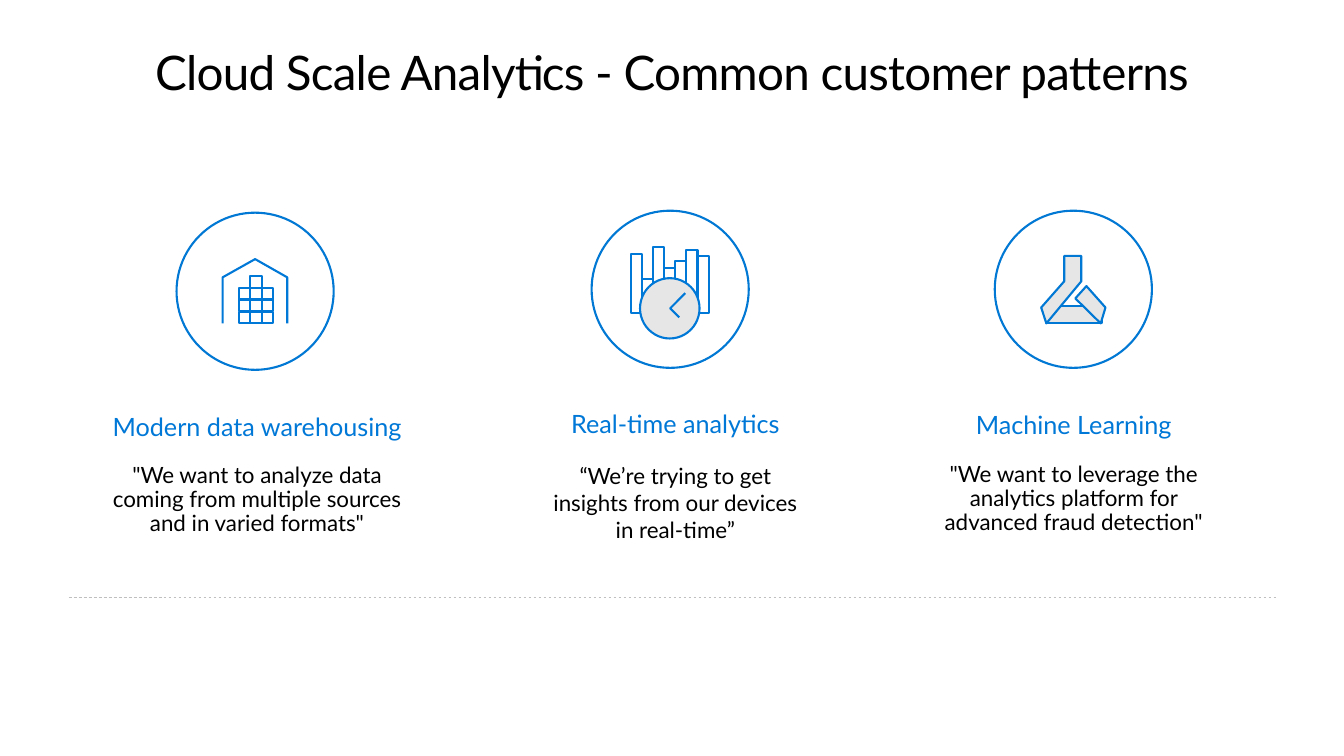
from lxml import etree
from pptx import Presentation
from pptx import util as u
from pptx.dml.color import RGBColor
from pptx.enum import dml, shapes, text
from pptx.oxml.ns import qn

ICON_BLUE, RING_BLUE = "0078D7", "0078D4"
GREY, RULE_GREY, BLACK = "E6E6E6", "BFBFBF", "000000"
RECT, OVAL = shapes.MSO_SHAPE.RECTANGLE, shapes.MSO_SHAPE.OVAL
RING_SIZE = 3.96


def color(hex_code):
    return RGBColor.from_string(hex_code)


class PatternSlide:
    """Holds the style, the slide and the group being drawn."""

    font = "Lato"
    stroke = 1.5

    def __init__(self, slide):
        self.slide = slide
        self.target = slide.shapes

    def start_group(self):
        self.target = self.slide.shapes.add_group_shape().shapes

    def outline(self, shape, line, fill):
        shape.shadow.inherit = False
        if fill:
            shape.fill.solid()
            shape.fill.fore_color.rgb = color(fill)
        else:
            shape.fill.background()
        shape.line.color.rgb = color(line)
        shape.line.width = u.Pt(self.stroke)

    def shape(self, kind, left, top, width, height, line=ICON_BLUE, fill=None):
        item = self.target.add_shape(
            kind, u.Cm(left), u.Cm(top), u.Cm(width), u.Cm(height))
        self.outline(item, line, fill)

    def polygon(self, points, line=ICON_BLUE, fill=None, close=False):
        corners = [(u.Cm(x), u.Cm(y)) for x, y in points]
        builder = self.target.build_freeform(*corners[0])
        builder.add_line_segments(corners[1:], close=close)
        self.outline(builder.convert_to_shape(), line, fill)

    def text(self, words, left, top, width, height, size, ink=BLACK,
             insets=(0.41, 0.25, 0.41, 0.25), leading=None, after=None,
             grow=True, tracking=None):
        box = self.target.add_textbox(
            u.Cm(left), u.Cm(top), u.Cm(width), u.Cm(height))
        frame = box.text_frame
        frame.word_wrap = True
        frame.auto_size = (text.MSO_AUTO_SIZE.SHAPE_TO_FIT_TEXT if grow
                           else text.MSO_AUTO_SIZE.NONE)
        (frame.margin_left, frame.margin_top,
         frame.margin_right, frame.margin_bottom) = map(u.Cm, insets)
        paragraph = frame.paragraphs[0]
        run = paragraph.add_run()
        run.text = words
        paragraph.alignment = text.PP_ALIGN.CENTER
        if leading:
            paragraph.line_spacing = leading
        if after:
            paragraph.space_after = u.Pt(after)
        paragraph.font.name = self.font
        paragraph.font.size = u.Pt(size)
        paragraph.font.color.rgb = color(ink)
        if tracking:
            run._r.get_or_add_rPr().set("spc", str(tracking))

    def divider(self, left, right, y):
        rule = self.target.add_connector(
            shapes.MSO_CONNECTOR.STRAIGHT,
            u.Cm(left), u.Cm(y), u.Cm(right), u.Cm(y))
        rule.line.color.rgb = color(RULE_GREY)
        rule.line.width = u.Pt(0.5)
        rule.line.dash_style = dml.MSO_LINE.DASH
        etree.SubElement(rule._element.spPr, qn("a:effectLst"))


def warehouse(page):
    page.polygon([(5.61, 8.15), (5.61, 6.99), (6.43, 6.53),
                  (7.24, 6.99), (7.24, 8.15)])
    # Stacked crates: the middle column is one higher
    for column, rows in enumerate([(1, 2, 3), (0, 1, 2, 3), (1, 2, 3)]):
        for row in rows:
            page.shape(RECT, 6.02 + 0.29 * column, 6.96 + 0.3 * row, 0.29, 0.29)


def bars_and_clock(page):
    floor = 7.88
    for index, top in enumerate([6.4, 7.04, 6.22, 6.76, 6.58, 6.3, 6.45]):
        page.shape(RECT, 15.9 + 0.28 * index, top, 0.28, floor - top)
    page.shape(OVAL, 16.13, 7.01, 1.5, 1.52, fill=GREY)
    page.polygon([(17.27, 7.39), (16.89, 7.77), (17.12, 8)])


def flask(page):
    page.shape(RECT, 26.37, 7.72, 1.4, 0.43, RING_BLUE, GREY)
    neck = [(26.82, 6.45), (27.25, 6.45), (27.25, 7.09),
            (26.37, 8.15), (26.24, 7.75), (26.82, 7.09)]
    side = [(27.1, 7.52), (27.38, 7.21), (27.86, 7.75), (27.74, 8.15)]
    for part in (neck, side):
        page.polygon(part, RING_BLUE, GREY, close=True)


# Icon, ring centre and top, text centre, heading and top,
# quote with its top, width, height, leading and space after
PATTERNS = [
    (warehouse, 6.43, 5.36, 6.48, "Modern data warehousing", 10.19,
     '"We want to analyze data coming from multiple sources and in varied formats"',
     11.28, 8.74, 2.67, 0.9, 6),
    (bars_and_clock, 16.89, 5.31, 17.02, "Real-time analytics", 10.13,
     "“We’re trying to get insights from our devices in real-time”",
     11.23, 7.62, 3.78, None, None),
    (flask, 27.05, 5.31, 27.06, "Machine Learning", 10.16,
     '"We want to leverage the analytics platform for advanced fraud detection"',
     11.25, 8.36, 2.67, 0.9, 6),
]


def main():
    deck = Presentation()
    deck.slide_width, deck.slide_height = u.Cm(33.87), u.Cm(19.05)
    page = PatternSlide(deck.slides.add_slide(deck.slide_layouts[6]))

    # Title and divider
    page.divider(1.73, 32.16, 15.06)
    page.text("Cloud Scale Analytics - Common customer patterns",
              1.19, 0.61, 31.5, 2.11, 34, insets=(0, 0.46, 0, 0),
              grow=False, tracking=-50)

    # One group for each customer pattern
    for (icon, ring_x, ring_top, text_x, heading, heading_top,
         quote, quote_top, width, height, leading, after) in PATTERNS:
        page.start_group()
        page.text(heading, text_x - 4.45, heading_top, 8.9, 1.19, 18,
                  ICON_BLUE, leading=0.9, after=3)
        icon(page)
        page.shape(OVAL, ring_x - RING_SIZE / 2, ring_top,
                   RING_SIZE, RING_SIZE, RING_BLUE)
        page.text(quote, text_x - width / 2, quote_top, width, height, 16,
                  insets=(0.51, 0.41, 0.51, 0.41), leading=leading, after=after)

    deck.save("out.pptx")


if __name__ == "__main__":
    main()
